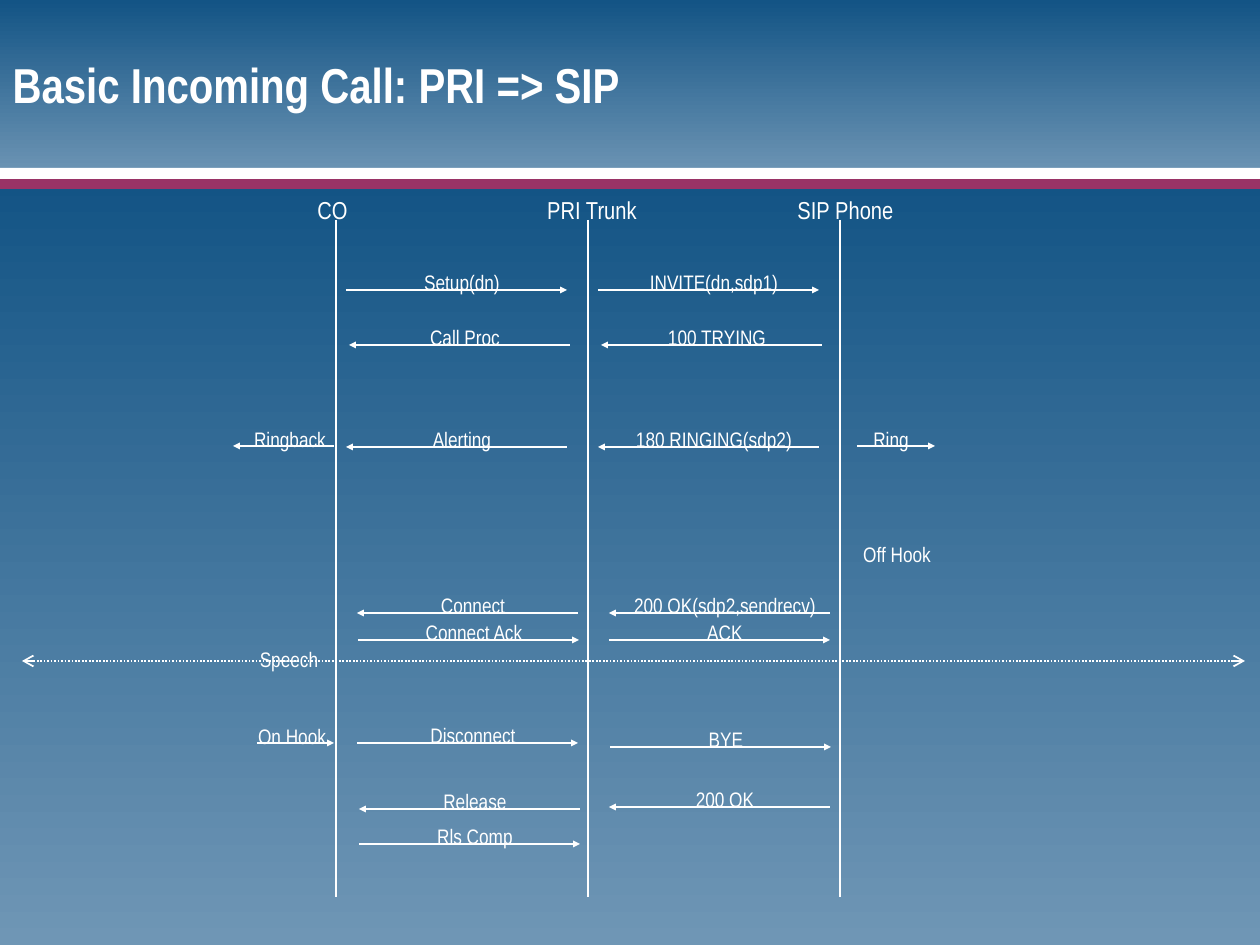
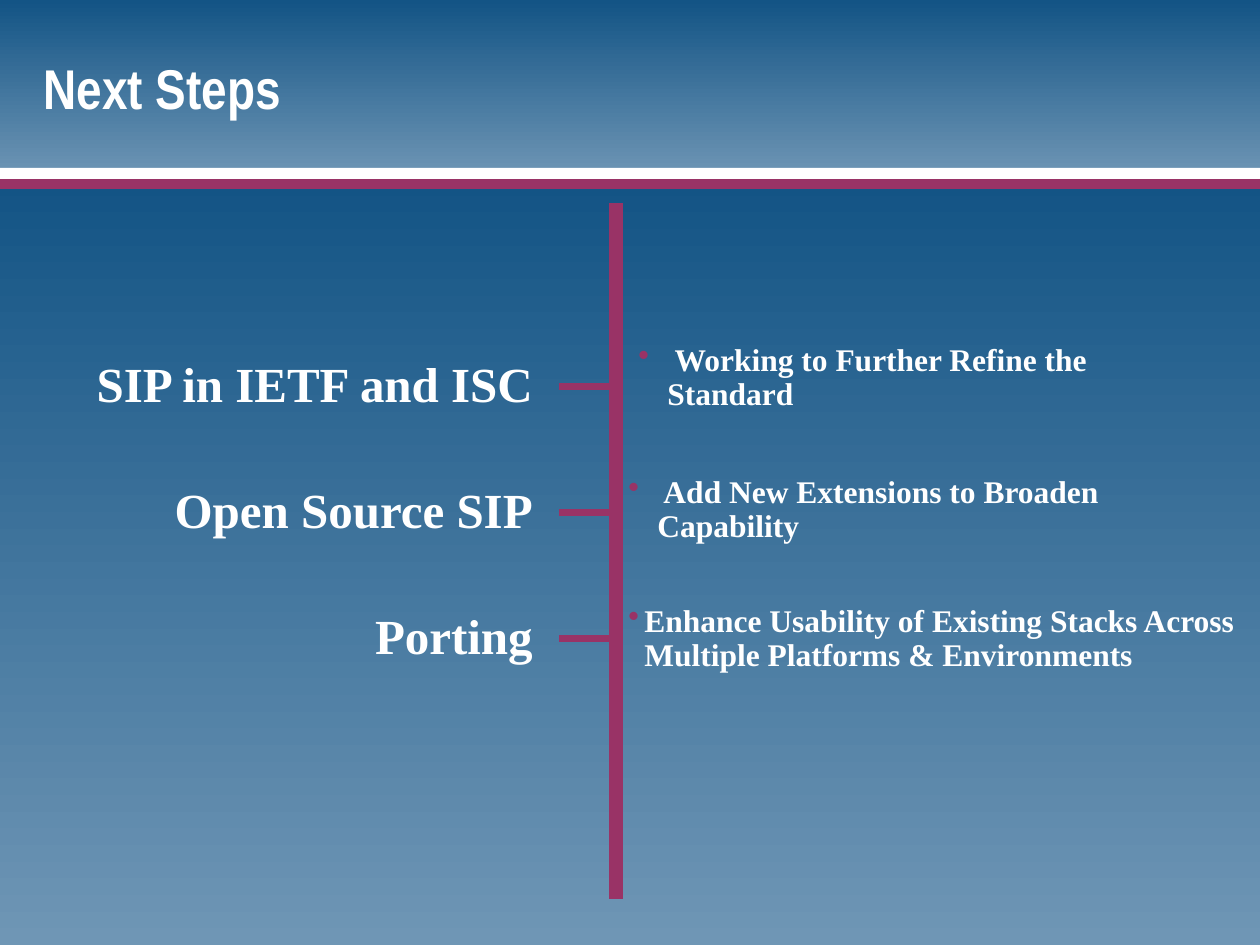
"""Build two SIP slides: an incoming call flow and the next steps."""
from lxml.etree import SubElement
from pptx import Presentation
from pptx.dml.color import RGBColor
from pptx.enum.dml import MSO_LINE
from pptx.enum.shapes import MSO_CONNECTOR, MSO_SHAPE
from pptx.enum.text import MSO_ANCHOR, MSO_AUTO_SIZE, PP_ALIGN
from pptx.oxml.ns import qn
from pptx.util import Emu, Pt

WHITE = RGBColor(0xFF, 0xFF, 0xFF)
PLUM = RGBColor(0x99, 0x33, 0x66)
DEEP_BLUE = RGBColor(0x13, 0x54, 0x85)
PALE_BLUE = RGBColor(0x6F, 0x96, 0xB5)
GREY = RGBColor(0x96, 0x96, 0x96)
NARROW, SERIF = "Arial Narrow", "Times New Roman"
SLIDE_W, SLIDE_H = 1260, 945

BANDS = [
    (179, SLIDE_H - 179, None),
    (0, 179, None),
    (179, 10, PLUM),
    (168, 11, WHITE),
]

LANES = {"CO": 336, "PRI Trunk": 588, "SIP Phone": 840}
LANE_LABELS = [("CO", 300, 65), ("PRI Trunk", 530, 124), ("SIP Phone", 781, 129)]
LIFELINE_TOP, LIFELINE_BOTTOM = 220, 897

RIGHT, LEFT, BOTH = ("tailEnd",), ("headEnd",), ("headEnd", "tailEnd")
MESSAGES = [
    ("CO", 10, 290, RIGHT, "Setup(dn)"),
    ("PRI Trunk", 10, 290, RIGHT, "INVITE(dn,sdp1)"),
    ("CO", 13, 345, LEFT, "Call Proc"),
    ("PRI Trunk", 13, 345, LEFT, "100 TRYING"),
    ("CO", 10, 447, LEFT, "Alerting"),
    ("PRI Trunk", 10, 447, LEFT, "180 RINGING(sdp2)"),
    ("CO", 21, 613, LEFT, "Connect"),
    ("PRI Trunk", 21, 613, LEFT, "200 OK(sdp2,sendrecv)"),
    ("CO", 22, 640, RIGHT, "Connect Ack"),
    ("PRI Trunk", 21, 640, RIGHT, "ACK"),
    ("CO", 21, 743, RIGHT, "Disconnect"),
    ("PRI Trunk", 22, 747, RIGHT, "BYE"),
    ("CO", 23, 809, LEFT, "Release"),
    ("PRI Trunk", 21, 807, LEFT, "200 OK"),
    ("CO", 23, 844, RIGHT, "Rls Comp"),
]
MESSAGE_SPAN, MESSAGE_BOX_W, LABEL_H = 221, 252, 38
LABEL_INDENT, LABEL_RISE = 10, 27

USER_EVENTS = [
    ("Ringback", 235, 420, 110),
    ("Ring", 851, 420, 80),
    ("Off Hook", 842, 535, 110),
    ("Speech", 234, 640, 110),
    ("On Hook", 237, 717, 110),
]
USER_ARROWS = [(233, 334, 446, LEFT), (857, 935, 446, RIGHT), (257, 334, 743, RIGHT)]
SPEECH_ARROW = (22, 1245, 661)

STEPS = [
    ("SIP in IETF and ISC", " Working to Further Refine the Standard", 626, 592, 29, 378),
    ("Open Source SIP", " Add New Extensions to Broaden Capability", 616, 629, 29, 510),
    ("Porting", "Enhance Usability of Existing Stacks Across "
     "Multiple Platforms & Environments", 616, 644, 16, 639),
]
SPINE_X, SPINE_TOP, SPINE_BOTTOM = 616, 210, 892
TICK_X, FIRST_TICK_Y, STEP_GAP = 563, 387, 126
TOPIC_LEFT, TOPIC_W, TOPIC_H, TOPIC_RISE, DETAIL_H = 60, 485, 72, 40, 81


def px(length):
    return Emu(round(length * 914400 / 126))


def add_line(slide, x1, y1, x2, y2, color=WHITE, width=1, ends=(),
             head="triangle", head_size="sm"):
    line = slide.shapes.add_connector(
        MSO_CONNECTOR.STRAIGHT, px(x1), px(y1), px(x2), px(y2))
    line.line.color.rgb = color
    line.line.width = Pt(width)
    SubElement(line.element.spPr, qn("a:effectLst"))
    ln = line.line._get_or_add_ln()
    for end in ends:
        SubElement(ln, qn(f"a:{end}"), type=head, w=head_size, len=head_size)
    if width > 1:
        ln.set("cap", "sq")
    return line


def style(paragraph, size, font, bold, align):
    paragraph.alignment = align
    paragraph.font.size = Pt(size)
    paragraph.font.name = font
    paragraph.font.bold = bold
    paragraph.font.color.rgb = WHITE


def add_label(slide, text, left, top, width, height, size=12, font=NARROW,
              bold=False, align=PP_ALIGN.CENTER, wrap=False, hang=0):
    frame = slide.shapes.add_textbox(
        px(left), px(top), px(width), px(height)).text_frame
    frame.word_wrap = wrap
    frame.vertical_anchor = MSO_ANCHOR.MIDDLE
    paragraph = frame.paragraphs[0]
    paragraph.text = text
    if hang:
        paragraph.line_spacing = 0.9
        props = paragraph._p.get_or_add_pPr()
        props.set("marL", str(px(hang)))
        props.set("indent", str(-px(hang)))
        bullet_color = SubElement(props, qn("a:buClr"))
        SubElement(bullet_color, qn("a:srgbClr"), val=str(PLUM))
        SubElement(props, qn("a:buChar"), char="•")
    style(paragraph, size, font, bold, align)


def add_bands(layout, slide):
    layout.background.fill.solid()
    layout.background.fill.fore_color.rgb = GREY
    for depth, (top, height, color) in enumerate(BANDS):
        band = slide.shapes.add_shape(
            MSO_SHAPE.RECTANGLE, 0, px(top), px(SLIDE_W), px(height))
        band.shadow.inherit = False
        band.line.fill.background()
        if color is None:
            band.fill.gradient()
            band.fill.gradient_angle = 270
            for stop, shade in zip(band.fill.gradient_stops, (DEEP_BLUE, PALE_BLUE)):
                stop.color.rgb = shade
        else:
            band.fill.solid()
            band.fill.fore_color.rgb = color
        layout.shapes.element.insert(2 + depth, band.element)


def add_titled_slide(prs, layout, text, left, top, width, size):
    slide = prs.slides.add_slide(layout)
    title = slide.shapes.title
    title.left, title.top, title.width, title.height = map(px, (left, top, width, 147))
    frame = title.text_frame
    frame.text = text
    frame.auto_size = MSO_AUTO_SIZE.NONE
    frame.vertical_anchor = MSO_ANCHOR.MIDDLE
    style(frame.paragraphs[0], size, NARROW, True, PP_ALIGN.LEFT)
    return slide


def draw_call_flow(slide):
    for name, left, width in LANE_LABELS:
        add_line(slide, LANES[name], LIFELINE_TOP, LANES[name], LIFELINE_BOTTOM)
        add_label(slide, name, left, 188, width, 43, size=14)
    for lane, offset, y, ends, text in MESSAGES:
        left = LANES[lane] + offset
        add_label(slide, text, left - LABEL_INDENT, y - LABEL_RISE,
                  MESSAGE_BOX_W, LABEL_H, wrap=True)
        add_line(slide, left, y, left + MESSAGE_SPAN, y, ends=ends)
    for text, left, top, width in USER_EVENTS:
        add_label(slide, text, left, top, width, LABEL_H)
    for start, end, y, ends in USER_ARROWS:
        add_line(slide, start, y, end, y, ends=ends)
    start, end, y = SPEECH_ARROW
    speech = add_line(slide, start, y, end, y, ends=BOTH, head="arrow", head_size="med")
    speech.line.dash_style = MSO_LINE.ROUND_DOT


def draw_next_steps(slide):
    add_line(slide, SPINE_X, SPINE_TOP, SPINE_X, SPINE_BOTTOM, PLUM, 8)
    for row, (topic, detail, left, width, hang, middle) in enumerate(STEPS):
        y = FIRST_TICK_Y + row * STEP_GAP
        add_line(slide, TICK_X, y, SPINE_X, y, PLUM, 4)
        add_label(slide, topic, TOPIC_LEFT, y - TOPIC_RISE, TOPIC_W, TOPIC_H,
                  28, SERIF, True, PP_ALIGN.RIGHT, True)
        add_label(slide, detail, left, middle - DETAIL_H / 2, width, DETAIL_H,
                  18, SERIF, True, PP_ALIGN.LEFT, True, hang)


def main():
    prs = Presentation()
    prs.slide_width, prs.slide_height = px(SLIDE_W), px(SLIDE_H)
    layout = prs.slide_layouts[5]
    call_flow = add_titled_slide(
        prs, layout, "Basic Incoming Call: PRI => SIP", 0, 10, 851, 28)
    add_bands(layout, call_flow)
    draw_call_flow(call_flow)
    draw_next_steps(add_titled_slide(prs, layout, "Next Steps", 31, 14, 892, 32))
    prs.save("out.pptx")


if __name__ == "__main__":
    main()
